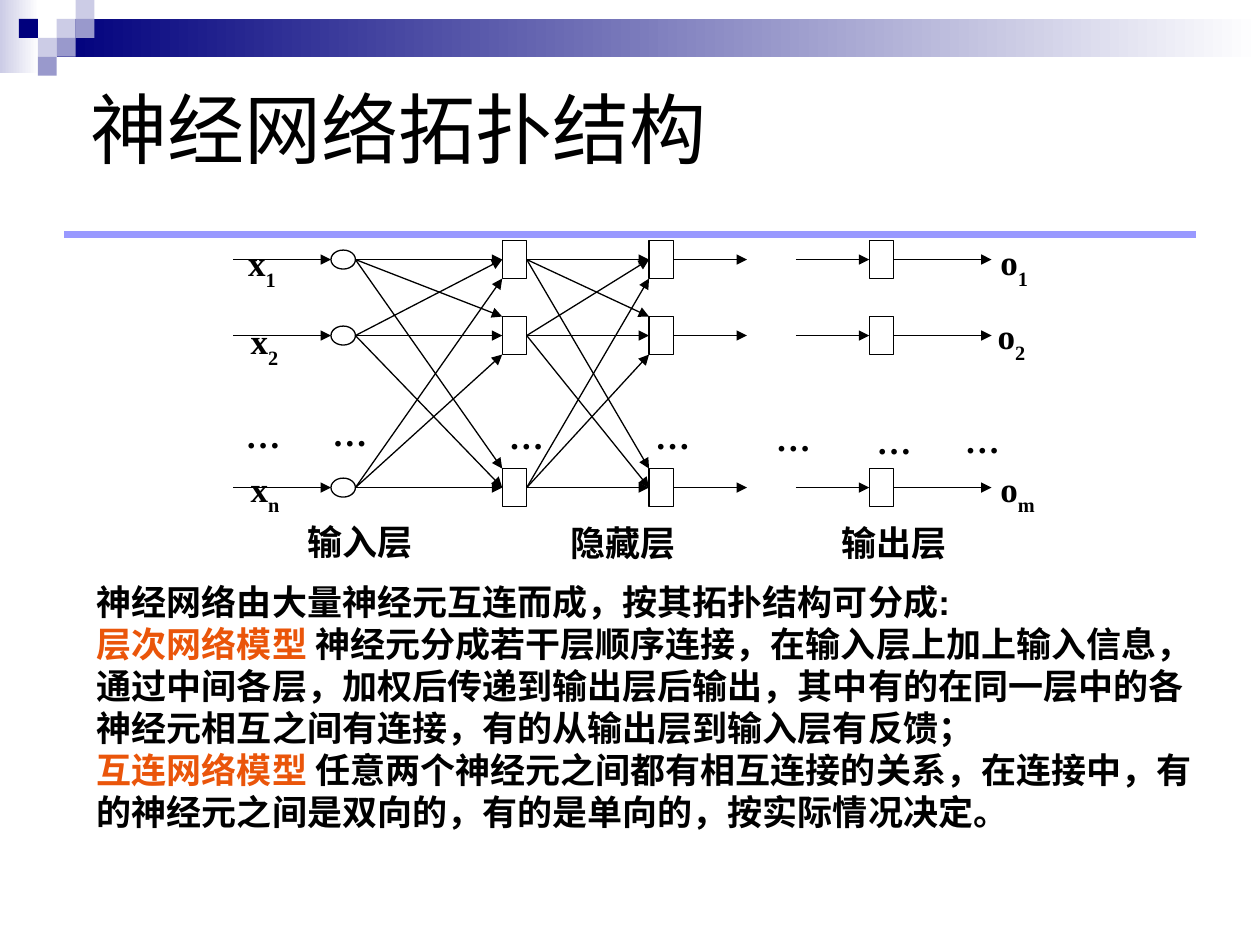
from lxml import etree
from pptx import Presentation, util as u
from pptx.dml.color import RGBColor
from pptx.enum import shapes, text
from pptx.oxml.ns import qn

NAVY, LILAC, PALE, RULE = "00007D", "9999CC", "CCCCE6", "9999FF"
BLACK, WHITE, ORANGE = "000000", "FFFFFF", "EA550A"
RECT, OVAL = shapes.MSO_SHAPE.RECTANGLE, shapes.MSO_SHAPE.OVAL

hexcolor = RGBColor.from_string
deck = Presentation()
deck.slide_width, deck.slide_height = u.Inches(10), u.Inches(7.5)
slide = deck.slides.add_slide(deck.slide_layouts[6])


def write(paragraphs, left, top, width, height=0.43, size=20, font="Times New Roman",
          bold=True, anchor=text.MSO_ANCHOR.TOP):
    """Each paragraph is a list of (text, colour, baseline shift in percent)."""
    box = slide.shapes.add_textbox(*map(u.Inches, (left, top, width, height)))
    frame = box.text_frame
    frame.word_wrap = True
    frame.vertical_anchor = anchor
    for number, pieces in enumerate(paragraphs):
        paragraph = frame.add_paragraph() if number else frame.paragraphs[0]
        for words, color, shift in pieces:
            run = paragraph.add_run()
            run.text = words
            run.font.size, run.font.name, run.font.bold = u.Pt(size), font, bold
            run.font.color.rgb = hexcolor(color)
            if shift:
                run._r.get_or_add_rPr().set("baseline", str(shift * 1000))


def draw_line(x1, y1, x2, y2, color=BLACK, weight=0.75, arrow=True):
    line = slide.shapes.add_connector(
        shapes.MSO_CONNECTOR.STRAIGHT, *map(u.Inches, (x1, y1, x2, y2)))
    line.line.color.rgb, line.line.width = hexcolor(color), u.Pt(weight)
    if arrow:
        etree.SubElement(line.line._get_or_add_ln(), qn("a:tailEnd"), type="triangle")
    etree.SubElement(line._element.spPr, qn("a:effectLst"))


# Header: two gradient bands and a mosaic on a square grid
TILE = 0.15
for left, top, width, height, start in [(0, 0, 0.31, 0.58, PALE),
                                        (3 * TILE, TILE, 9.55, 2 * TILE, NAVY)]:
    band = slide.shapes.add_shape(RECT, *map(u.Inches, (left, top, width, height)))
    band.shadow.inherit = False
    band.line.fill.background()
    band.fill.gradient()
    band.fill.gradient_angle = 0
    for stop, color in zip(band.fill.gradient_stops, (start, WHITE)):
        stop.color.rgb = hexcolor(color)

mosaic = [(3, 1, PALE), (4, 0, PALE), (4, 1, LILAC), (2, 2, PALE),
          (1, 1, NAVY), (3, 2, LILAC), (2, 3, LILAC)]
for column, row, color in mosaic:
    tile = slide.shapes.add_shape(
        RECT, *map(u.Inches, (column * TILE, row * TILE, TILE, TILE)))
    tile.shadow.inherit = False
    tile.line.fill.background()
    tile.fill.solid()
    tile.fill.fore_color.rgb = hexcolor(color)

draw_line(0.51, 1.86, 9.49, 1.86, RULE, 4.25, arrow=False)
write([[("神经网络拓扑结构", BLACK, 0)]], 0.62, 0.55, 8.5, 0.92, size=44, font="Arial",
      bold=False, anchor=text.MSO_ANCHOR.MIDDLE)

# Network grid: 31 columns wide, 12 rows between the first and the last neuron
COL, ROW = 6.02 / 31, 1.81 / 12
grid_x = [1.85 + COL * column for column in range(32)]
neuron_y = [2.06 + ROW * row for row in (0, 4, 12)]
INPUT, HIDDEN_1, HIDDEN_2, OUTPUT = 4, 11, 17, 26

for layer in (INPUT, HIDDEN_1, HIDDEN_2, OUTPUT):
    kind, height = (OVAL, ROW) if layer == INPUT else (RECT, 2 * ROW)
    for y in neuron_y:
        neuron = slide.shapes.add_shape(
            kind, *map(u.Inches, (grid_x[layer], y - height / 2, COL, height)))
        neuron.shadow.inherit = False
        neuron.fill.solid()
        neuron.fill.fore_color.rgb = hexcolor(WHITE)
        neuron.line.color.rgb, neuron.line.width = hexcolor(BLACK), u.Pt(0.75)

for start, end in [(0, INPUT), (HIDDEN_2 + 1, 21), (23, OUTPUT), (OUTPUT + 1, 31)]:
    for y in neuron_y:
        draw_line(grid_x[start], y, grid_x[end], y)

# Outer neurons reach the near edge of the others, the middle one their centre
edge_shift = [-ROW, 0, ROW]
for start, end in [(INPUT + 1, HIDDEN_1), (HIDDEN_1 + 1, HIDDEN_2)]:
    for source, y1 in enumerate(neuron_y):
        for target, y2 in enumerate(neuron_y):
            shift = 0 if source == target else edge_shift[source]
            draw_line(grid_x[start], y1, grid_x[end], y2 + shift)

signals = [("x", "1", 1.87, 1.87), ("x", "2", 1.89, 2.49), ("x", "n", 1.89, 3.66),
           ("o", "1", 7.84, 1.86), ("o", "2", 7.82, 2.45), ("o", "m", 7.84, 3.66)]
for symbol, index, left, top in signals:
    write([[(symbol, BLACK, 0), (index, BLACK, -30)]], left, top, 0.55)

for left, top in [(1.85, 3.23), (2.54, 3.22), (3.94, 3.24), (5.1, 3.24),
                  (6.06, 3.26), (6.86, 3.28), (7.56, 3.27)]:
    write([[("…", BLACK, 0)]], left, top, 0.55)

for layer_name, left, top in [("输入层", 2.34, 4.08), ("隐藏层", 4.43, 4.09),
                              ("输出层", 6.58, 4.09)]:
    write([[(layer_name, BLACK, 0)]], left, top, 1.1)

write([
    [("神经网络由大量神经元互连而成，按其拓扑结构可分成:", BLACK, 0)],
    [("层次网络模型", ORANGE, 0),
     (" 神经元分成若干层顺序连接，在输入层上加上输入信息，通过中间各层，加权后传递到"
      "输出层后输出，其中有的在同一层中的各神经元相互之间有连接，有的从输出层到输入层"
      "有反馈；", BLACK, 0)],
    [("互连网络模型 ", ORANGE, 0),
     ("任意两个神经元之间都有相互连接的关系，在连接中，有的神经元之间是双向的，"
      "有的是单向的，按实际情况决定。", BLACK, 0)],
], 0.67, 4.56, 8.9, 2.1, font="Arial")

deck.save("out.pptx")
